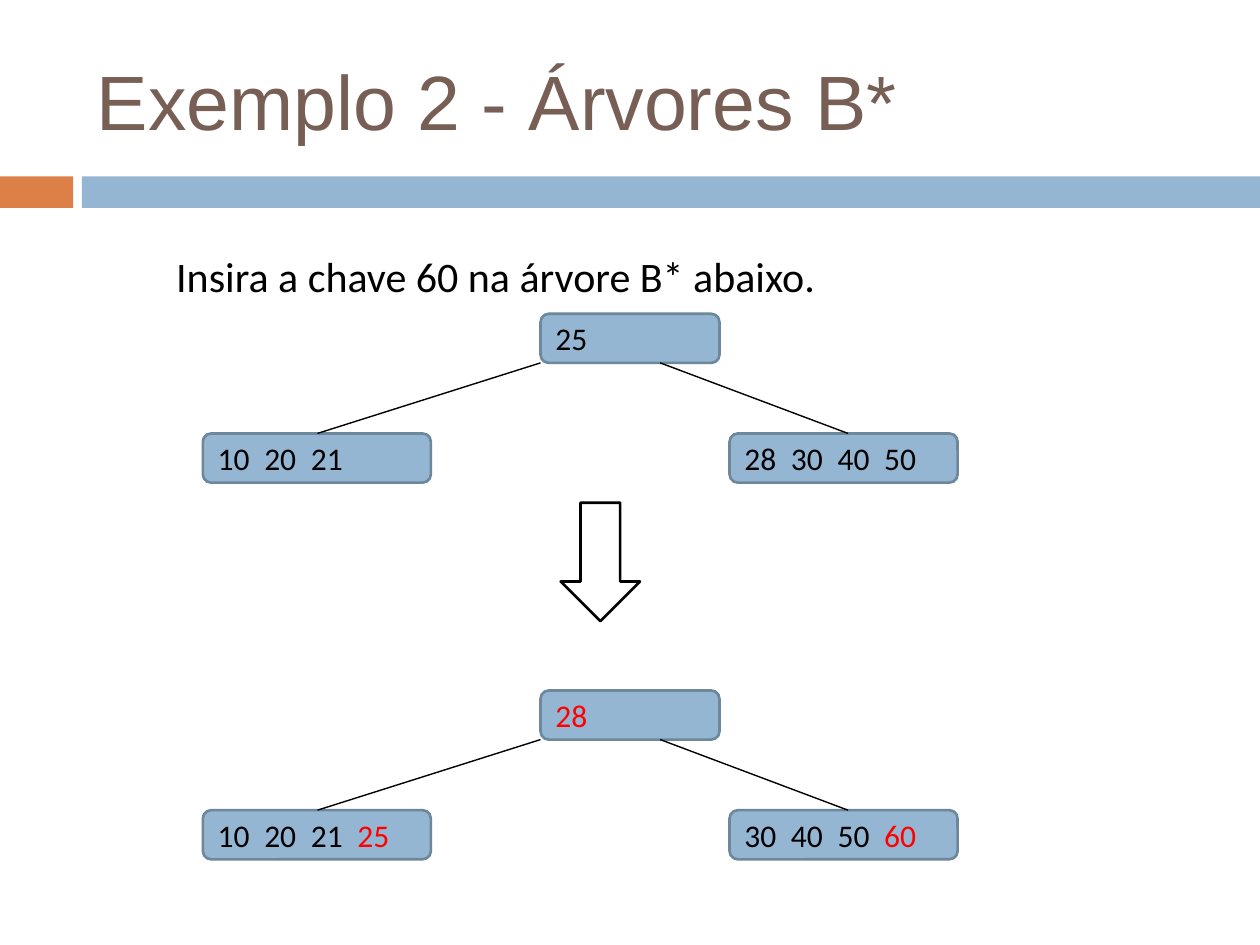
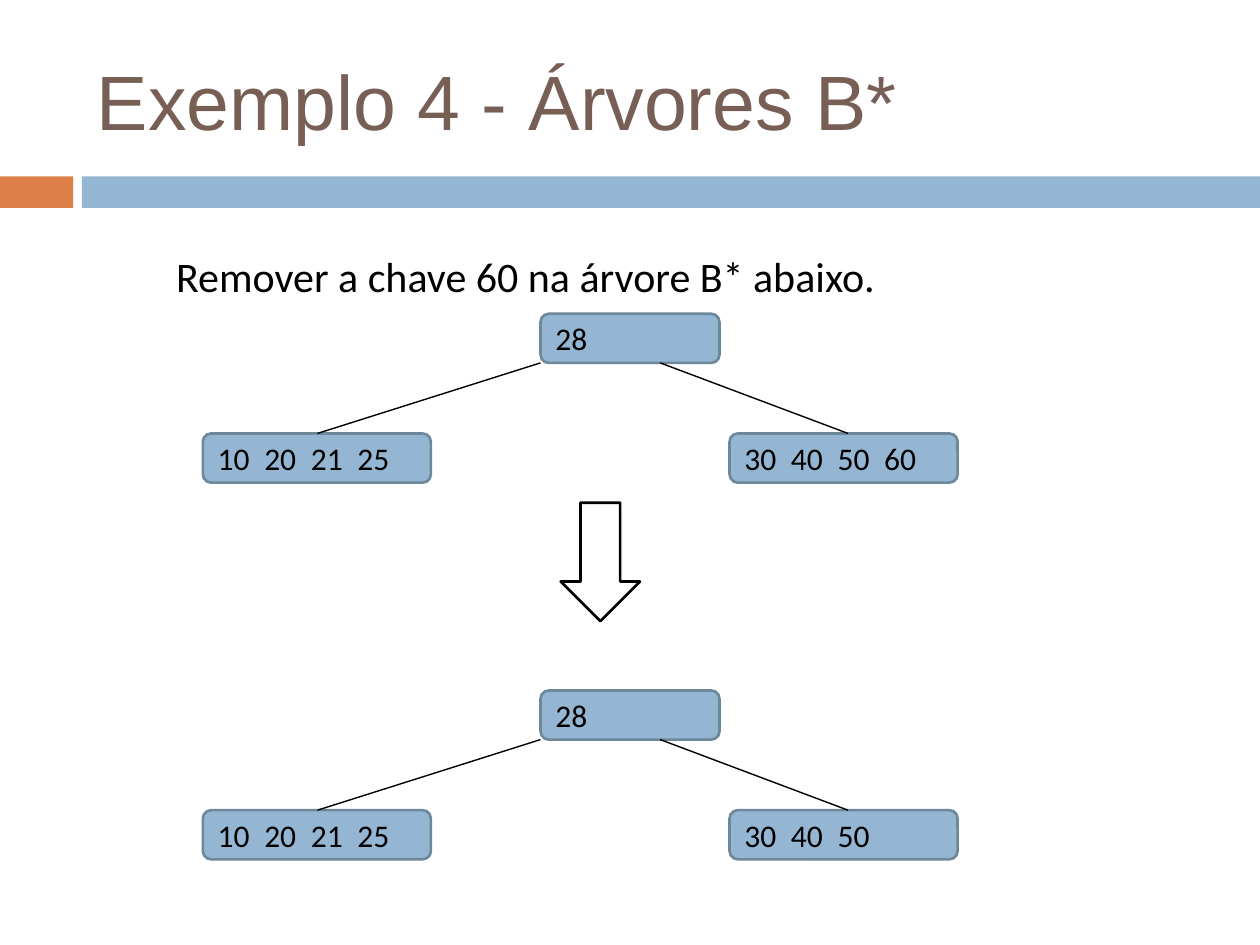
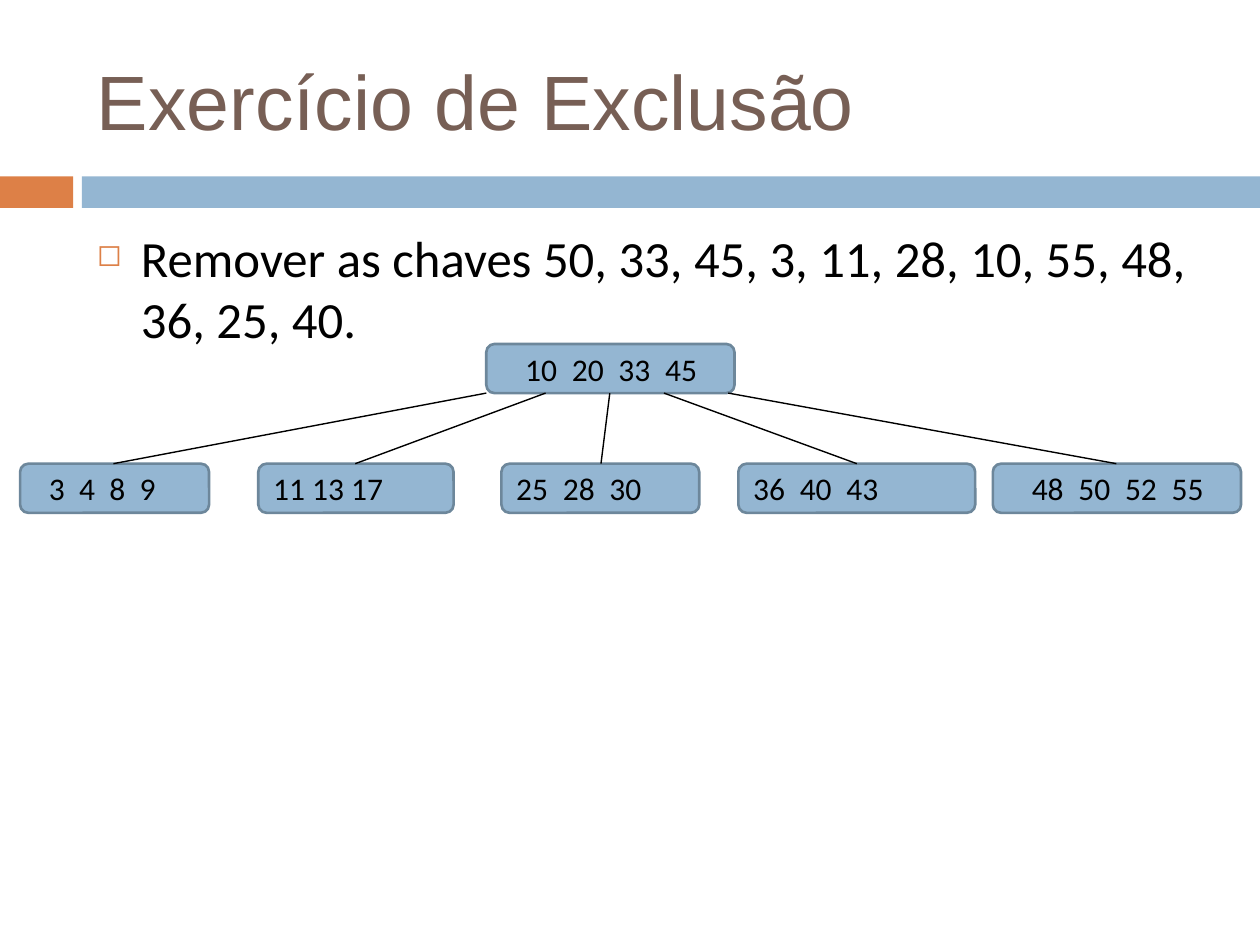
from dataclasses import dataclass

from lxml import etree
from pptx import Presentation
from pptx.dml.color import RGBColor
from pptx.enum import shapes, text
from pptx.oxml import ns
from pptx.util import Inches, Pt

COLORS = {
    "orange": "DD8047",
    "blue": "94B6D2",
    "edge": "6D879B",
    "title": "775F55",
    "black": "000000",
    "red": "FF0000",
}
NODE_HEIGHT = 0.39
LEVEL_GAP = 0.95
KEY_STEP = 0.37


@dataclass
class Node:
    left: float
    width: float
    keys: str
    red: str = ""
    inset: float = 0.1
    step: float = KEY_STEP


@dataclass
class Leaf(Node):
    root_x: float = 0
    leaf_x: float = 0


@dataclass
class Tree:
    top: float
    root: Node
    leaves: list[Leaf]


@dataclass
class Example:
    title: str
    task: str
    before: Tree
    after: Tree


def rgb(name: str) -> RGBColor:
    return RGBColor.from_string(COLORS[name])


def style_font(font, size: float, color: str = "black", name: str = "Calibri") -> None:
    font.size = Pt(size)
    font.name = name
    font.color.rgb = rgb(color)


def add_box(s, kind, left: float, top: float, width: float, height: float,
            fill: str = "", line: str = ""):
    sp = s.shapes.add_shape(kind, Inches(left), Inches(top), Inches(width), Inches(height))
    sp.shadow.inherit = False
    if fill:
        sp.fill.solid()
        sp.fill.fore_color.rgb = rgb(fill)
    else:
        sp.fill.background()
    if line:
        sp.line.color.rgb = rgb(line)
        sp.line.width = Pt(1.5)
    else:
        sp.line.fill.background()
    return sp


def add_text(s, left: float, top: float, width: float, height: float, content: str):
    sp = s.shapes.add_textbox(Inches(left), Inches(top), Inches(width), Inches(height))
    tf = sp.text_frame
    tf.word_wrap = True
    tf.text = content
    return tf


def add_child(parent, tag: str, **attrs):
    return etree.SubElement(parent, ns.qn(tag), {k: str(v) for k, v in attrs.items()})


def add_line(s, x1: float, y1: float, x2: float, y2: float) -> None:
    line = s.shapes.add_connector(shapes.MSO_CONNECTOR.STRAIGHT,
                                  Inches(x1), Inches(y1), Inches(x2), Inches(y2))
    line.line.color.rgb = rgb("black")
    line.line.width = Pt(0.79)
    add_child(line._element.spPr, "a:effectLst")


def add_node(s, node: Node, top: float) -> None:
    """Draw a page of the tree, its keys aligned on equal tab stops."""
    sp = add_box(s, shapes.MSO_SHAPE.ROUNDED_RECTANGLE, node.left, top,
                 node.width, NODE_HEIGHT, "blue", "edge")
    tf = sp.text_frame
    tf.word_wrap = True
    tf.margin_left = Inches(node.inset)
    tf.vertical_anchor = text.MSO_ANCHOR.MIDDLE
    p = tf.paragraphs[0]
    p.alignment = text.PP_ALIGN.LEFT
    keys = node.keys.split(", ")
    tabs = add_child(p._p.get_or_add_pPr(), "a:tabLst")
    for i in range(1, len(keys)):
        add_child(tabs, "a:tab", pos=Inches(i * node.step), algn="l")
    for i, key in enumerate(keys):
        r = p.add_run()
        r.text = f"\t{key}" if i else key
        style_font(r.font, 18, "red" if key == node.red else "black")


def add_tree(s, tree: Tree) -> None:
    leaf_top = tree.top + LEVEL_GAP
    add_node(s, tree.root, tree.top)
    for leaf in tree.leaves:
        add_node(s, leaf, leaf_top)
    for leaf in tree.leaves:
        add_line(s, leaf.leaf_x, leaf_top, leaf.root_x, tree.top + NODE_HEIGHT)


def small_tree(top: float, root: str, left: str, right: str,
               red: tuple[str, str, str] = ("", "", "")) -> Tree:
    return Tree(top, Node(4.29, 1.42, root, red[0]), [
        Leaf(1.61, 1.81, left, red[1], root_x=4.29, leaf_x=2.52),
        Leaf(5.79, 1.81, right, red[2], root_x=5.24, leaf_x=6.73),
    ])


def add_slide(prs, title: str):
    """Add a slide with the shared band and title."""
    s = prs.slides.add_slide(prs.slide_layouts[6])
    for left, width, color in ((0, 0.58, "orange"), (0.65, 9.35, "blue")):
        add_box(s, shapes.MSO_SHAPE.RECTANGLE, left, 1.4, width, 0.25, color)
    tf = add_text(s, 0.67, 0.25, 8.92, 1.08, title)
    tf.vertical_anchor = text.MSO_ANCHOR.MIDDLE
    style_font(tf.paragraphs[0].runs[0].font, 44, "title", "Arial")
    return s


def add_example(prs, example: Example) -> None:
    s = add_slide(prs, example.title)
    tf = add_text(s, 1.3, 1.94, 7.72, 0.5, example.task)
    style_font(tf.paragraphs[0].runs[0].font, 24)
    add_tree(s, example.before)
    add_tree(s, example.after)
    add_box(s, shapes.MSO_SHAPE.DOWN_ARROW, 4.45, 3.99, 0.63, 0.94, line="black")


def add_exercise(prs, title: str, task: str, tree: Tree) -> None:
    s = add_slide(prs, title)
    p = add_text(s, 0.67, 1.75, 8.92, 4.92, task).paragraphs[0]
    pPr = p._p.get_or_add_pPr()
    pPr.set("marL", str(Inches(0.35)))
    pPr.set("indent", str(Inches(-0.35)))
    add_child(add_child(pPr, "a:buClr"), "a:srgbClr", val=COLORS["orange"])
    add_child(pPr, "a:buSzPct", val=60000)
    add_child(pPr, "a:buChar", char="◻")
    style_font(p.runs[0].font, 29)
    add_tree(s, tree)


EXAMPLES = [
    Example("Exemplo 2 - Árvores B*", "Insira a chave 60 na árvore B* abaixo.",
            small_tree(2.49, "25", "10, 20, 21", "28, 30, 40, 50"),
            small_tree(5.48, "28", "10, 20, 21, 25", "30, 40, 50, 60", ("28", "25", "60"))),
    Example("Exemplo 4 - Árvores B*", "Remover a chave 60 na árvore B* abaixo.",
            small_tree(2.49, "28", "10, 20, 21, 25", "30, 40, 50, 60"),
            small_tree(5.48, "28", "10, 20, 21, 25", "30, 40, 50")),
]
EXERCISE_TREE = Tree(2.73, Node(3.86, 1.97, "10, 20, 33, 45", inset=0.29), [
    Leaf(0.16, 1.5, "3, 4, 8, 9", inset=0.21, step=0.24, root_x=3.86, leaf_x=0.9),
    Leaf(2.05, 1.55, "11 13 17", root_x=4.33, leaf_x=2.82),
    Leaf(3.98, 1.57, "25, 28, 30", root_x=4.84, leaf_x=4.77),
    Leaf(5.86, 1.88, "36, 40, 43", root_x=5.27, leaf_x=6.8),
    Leaf(7.88, 1.97, "48, 50, 52, 55", inset=0.29, root_x=5.78, leaf_x=8.86),
])


def main() -> None:
    prs = Presentation()
    prs.slide_width, prs.slide_height = Inches(10), Inches(7.5)
    for example in EXAMPLES:
        add_example(prs, example)
    add_exercise(prs, "Exercício de Exclusão",
                 "Remover as chaves 50, 33, 45, 3, 11, 28, 10, 55, 48, 36, 25, 40.",
                 EXERCISE_TREE)
    prs.save("out.pptx")


if __name__ == "__main__":
    main()
